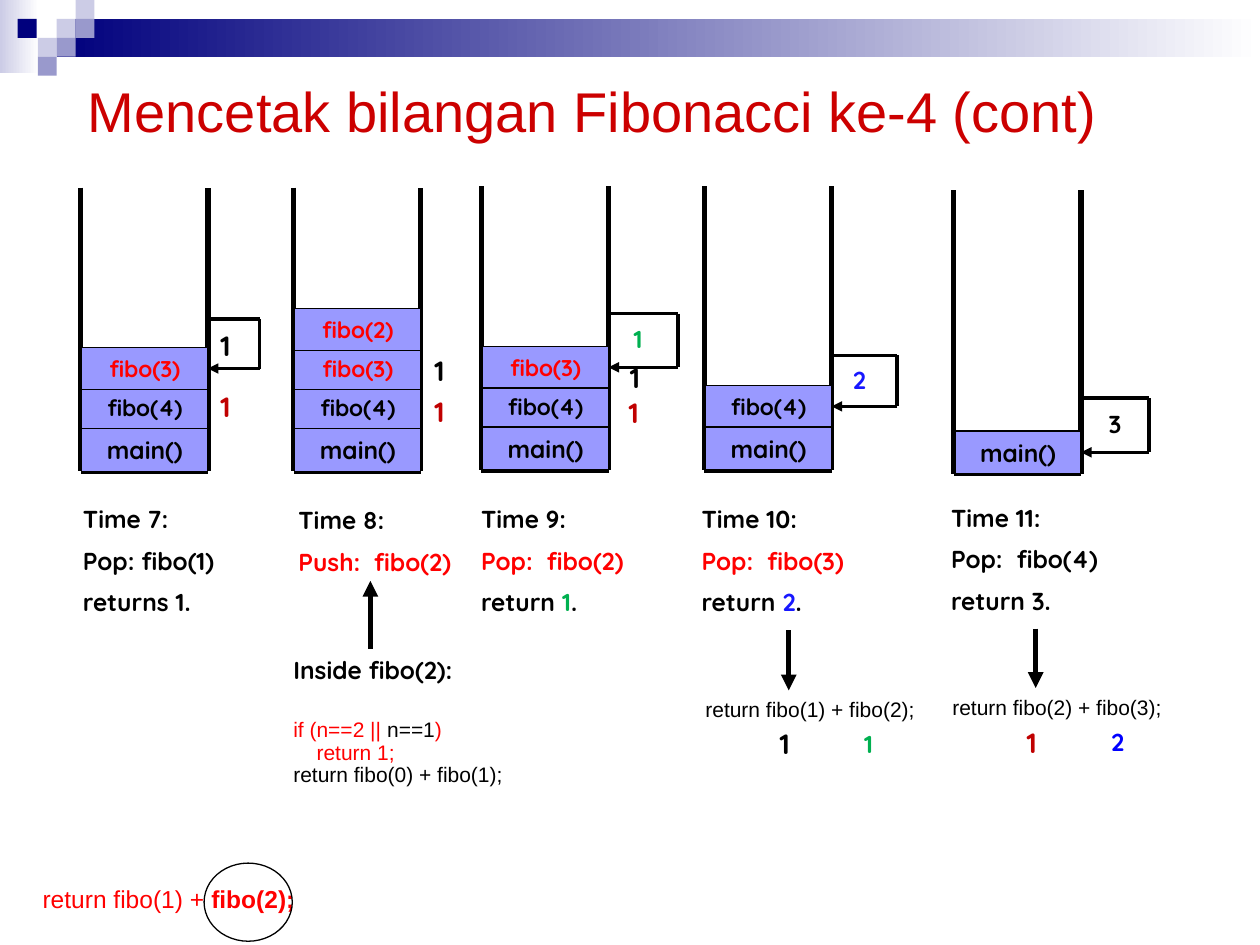
"""Build a slide tracing the call stack of a recursive Fibonacci function."""
import dataclasses

import pptx
import pptx.dml.color
import pptx.enum.dml
import pptx.enum.shapes
import pptx.enum.text
import pptx.oxml
import pptx.oxml.ns
import pptx.util

Inches = pptx.util.Inches
Pt = pptx.util.Pt
RGB = pptx.dml.color.RGBColor.from_string
SHAPES = pptx.enum.shapes.MSO_SHAPE
ANCHOR = pptx.enum.text.MSO_ANCHOR
CENTER = pptx.enum.text.PP_ALIGN.CENTER


@dataclasses.dataclass(frozen=True)
class Theme:
    black = "000000"
    white = "FFFFFF"
    title_red = "CC0000"
    red = "FF0000"
    dark_red = "C00000"
    green = "00B050"
    bright_blue = "1717FF"
    blue = "0000FF"
    block = "9999FF"
    navy = "00007D"
    lilac = "CCCCE6"
    violet = "9999CC"
    title = {"name": "Arial", "size": Pt(32), "bold": False}
    label = {"name": "Quicksand", "size": Pt(14), "bold": True}
    call = {"name": "Quicksand", "size": Pt(13), "bold": True}
    number = {"name": "Quicksand", "size": Pt(16), "bold": True}
    code = {"name": "Arial", "size": Pt(12), "bold": False}
    large_code = {"name": "Arial", "size": Pt(14), "bold": False}
    large_code_bold = {"name": "Arial", "size": Pt(14), "bold": True}


theme = Theme()
presentation = pptx.Presentation()
presentation.slide_width, presentation.slide_height = Inches(10), Inches(7.5)
slide = presentation.slides.add_slide(presentation.slide_layouts[6])
shapes = slide.shapes


def write(shape, paragraphs, anchor=ANCHOR.TOP):
    """Fill a shape with (runs, paragraph format, tab position) entries."""
    frame = shape.text_frame
    frame.word_wrap = True
    frame.vertical_anchor = anchor
    for index, (runs, layout, tab) in enumerate(paragraphs):
        paragraph = frame.add_paragraph() if index else frame.paragraphs[0]
        if tab:
            tabs = pptx.oxml.parse_xml(
                f'<a:tabLst {pptx.oxml.ns.nsdecls("a")}><a:tab pos="{Inches(tab)}" algn="l"/></a:tabLst>')
            paragraph._p.get_or_add_pPr().append(tabs)
        for name, value in layout.items():
            setattr(paragraph, name, value)
        for text, style, color in runs:
            run = paragraph.add_run()
            run.text = text
            for name, value in style.items():
                setattr(run.font, name, value)
            run.font.color.rgb = RGB(color)


def add_line(start, end, width, arrow=False):
    """Draw a straight black line, optionally with an arrowhead at its end."""
    line = shapes.add_connector(
        pptx.enum.shapes.MSO_CONNECTOR.STRAIGHT, *map(Inches, (*start, *end)))
    line.line.width = Pt(width)
    line.line.color.rgb = RGB(theme.black)
    if arrow:
        line.line._get_or_add_ln().append(pptx.oxml.parse_xml(
            f'<a:tailEnd {pptx.oxml.ns.nsdecls("a")} type="triangle"/>'))
    line._element.spPr.append(pptx.oxml.parse_xml(f'<a:effectLst {pptx.oxml.ns.nsdecls("a")}/>'))
    return line


for color, left, top, width, height in [
    (theme.lilac, 0, 0, 0.31, 0.58), (theme.navy, 0.45, 0.15, 9.55, 0.3),
]:
    band = shapes.add_shape(SHAPES.RECTANGLE, *map(Inches, (left, top, width, height)))
    band.shadow.inherit = False
    band.line.fill.background()
    band.fill.gradient()
    band.fill.gradient_angle = 0
    for stop, stop_color in zip(band.fill.gradient_stops, (color, theme.white)):
        stop.color.rgb = RGB(stop_color)

for color, left, top in [
    (theme.lilac, 0.45, 0.15), (theme.lilac, 0.6, 0), (theme.violet, 0.6, 0.15),
    (theme.lilac, 0.3, 0.3), (theme.navy, 0.14, 0.15), (theme.violet, 0.45, 0.3),
    (theme.violet, 0.3, 0.45),
]:
    square = shapes.add_shape(SHAPES.RECTANGLE, *map(Inches, (left, top, 0.15, 0.15)))
    square.shadow.inherit = False
    square.line.fill.background()
    square.fill.solid()
    square.fill.fore_color.rgb = RGB(color)

title = shapes.add_textbox(*map(Inches, (0.6, 0.52, 9, 0.7)))
write(title, [([("Mencetak bilangan Fibonacci ke-4 (cont)", theme.title, theme.title_red)], {}, None)],
      ANCHOR.MIDDLE)

main = ("main()", theme.label, theme.black)
fibo4 = ("fibo(4)", theme.call, theme.black)
fibo3 = ("fibo(3)", theme.call, theme.red)
fibo2 = ("fibo(2)", theme.call, theme.red)
block_rises = (0.34, 0.67, 0.98, 1.29)
stacks = [
    (0.65, 3.74, [main, fibo4, fibo3], (2.06, 2.53)),
    (2.34, 3.74, [main, fibo4, fibo3, fibo2], None),
    (3.83, 3.73, [main, fibo4, fibo3], (5.38, 2.49)),
    (5.6, 3.73, [main, fibo4], (7.12, 2.82)),
    (7.58, 3.76, [main], (9.12, 3.16)),
]
for left, base, calls, loop in stacks:
    right, rim = left + 1, base - 2.25
    corners = [(left - 0.01, rim), (left - 0.01, base), (right, base), (right, rim)]
    for start, end in zip(corners, corners[1:]):
        add_line(start, end, 3)
    for call, rise in zip(calls, block_rises):
        height = 0.34 if call is main else 0.33
        block = shapes.add_shape(SHAPES.RECTANGLE, *map(Inches, (left, base - rise, 1, height)))
        block.shadow.inherit = False
        block.fill.solid()
        block.fill.fore_color.rgb = RGB(theme.block)
        block.line.width = Pt(0.75)
        block.line.color.rgb = RGB(theme.black)
        write(block, [([call], {"alignment": CENTER}, None)], ANCHOR.MIDDLE)
    if loop:
        loop_right, loop_top = loop
        loop_bottom = base - rise + height / 2
        add_line((right, loop_top), (loop_right, loop_top), 2)
        add_line((loop_right, loop_top), (loop_right, loop_bottom), 2)
        add_line((loop_right, loop_bottom), (right, loop_bottom), 2, True).end_connect(block, 3)

captions = [
    (0.56, 3.95, "Time 7:", "Pop: fibo(1)", theme.black, None, ["returns 1."]),
    (2.27, 3.96, "Time 8:", "Push:\tfibo(2)", theme.red, 0.6, []),
    (3.72, 3.95, "Time 9:", "Pop:\tfibo(2)", theme.red, 0.52, ["return ", "1", "."]),
    (5.47, 3.95, "Time 10:", "Pop:\tfibo(3)", theme.red, 0.52, ["return ", "2", "."]),
    (7.45, 3.94, "Time 11:", "Pop:\tfibo(4)", theme.black, 0.52, ["return 3."]),
]
result_colors = {"1": theme.green, "2": theme.bright_blue}
spaced = {"space_before": Pt(7)}
for left, top, time, action, color, tab, result in captions:
    caption = shapes.add_textbox(*map(Inches, (left, top, 1.57, 1.04)))
    paragraphs = [([(time, theme.label, theme.black)], {}, None),
                  ([(action, theme.label, color)], spaced, tab)]
    if result:
        runs = [(part, theme.label, result_colors.get(part, theme.black)) for part in result]
        paragraphs.append((runs, spaced, None))
    write(caption, paragraphs)

for start, end in [
    ((2.94, 5.15), (2.94, 4.61)), ((6.26, 5), (6.26, 5.48)), ((8.22, 4.99), (8.22, 5.46)),
]:
    add_line(start, end, 3, True)

inside = shapes.add_textbox(*map(Inches, (2.23, 5.15, 2.83, 1.47)))
write(inside, [
    ([("Inside fibo(2):", theme.label, theme.black)], {}, None),
    ([("if (n==2 || ", theme.code, theme.red), ("n==1", theme.code, theme.black),
      (")", theme.code, theme.red)], {"space_before": Pt(20), "line_spacing": 0.9}, None),
    ([("    return 1;", theme.code, theme.red)], {"line_spacing": 0.9}, None),
    ([("return fibo(0) + fibo(1);", theme.code, theme.black)], {"line_spacing": 0.9}, None),
])

notes = [
    (1.65, 2.56, 0.36, [("1", theme.number, theme.black)]),
    (1.65, 3.04, 0.36, [("1", theme.number, theme.dark_red)]),
    (3.35, 2.76, 0.36, [("1", theme.number, theme.black)]),
    (3.35, 3.08, 0.36, [("1", theme.number, theme.dark_red)]),
    (4.93, 2.52, 0.36, [("1", theme.label, theme.green)]),
    (4.9, 2.81, 0.36, [("1", theme.number, theme.black)]),
    (4.89, 3.09, 0.36, [("1", theme.number, theme.dark_red)]),
    (6.67, 2.85, 0.36, [("2", theme.label, theme.bright_blue)]),
    (8.7, 3.2, 0.36, [("3", theme.label, theme.black)]),
    (5.5, 5.48, 1.98, [("return fibo(1) + fibo(2);", theme.code, theme.black)]),
    (6.09, 5.72, 0.36, [("1", theme.number, theme.black)]),
    (6.76, 5.74, 0.36, [("1", theme.label, theme.green)]),
    (7.46, 5.46, 1.98, [("return fibo(2) + fibo(3);", theme.code, theme.black)]),
    (8.05, 5.71, 0.36, [("1", theme.number, theme.dark_red)]),
    (8.72, 5.72, 0.36, [("2", theme.label, theme.blue)]),
    (0.24, 6.97, 3.2, [("return fibo(1) + ", theme.large_code, theme.red),
                       ("fibo(2);", theme.large_code_bold, theme.red)]),
]
for left, top, width, runs in notes:
    note = shapes.add_textbox(*map(Inches, (left, top, width, 0.34)))
    write(note, [(runs, {}, None)])

circle = shapes.add_shape(SHAPES.OVAL, *map(Inches, (1.62, 6.85, 0.7, 0.62)))
circle.shadow.inherit = False
circle.fill.background()
circle.line.width = Pt(0.75)
circle.line.color.rgb = RGB(theme.black)

presentation.save("out.pptx")
